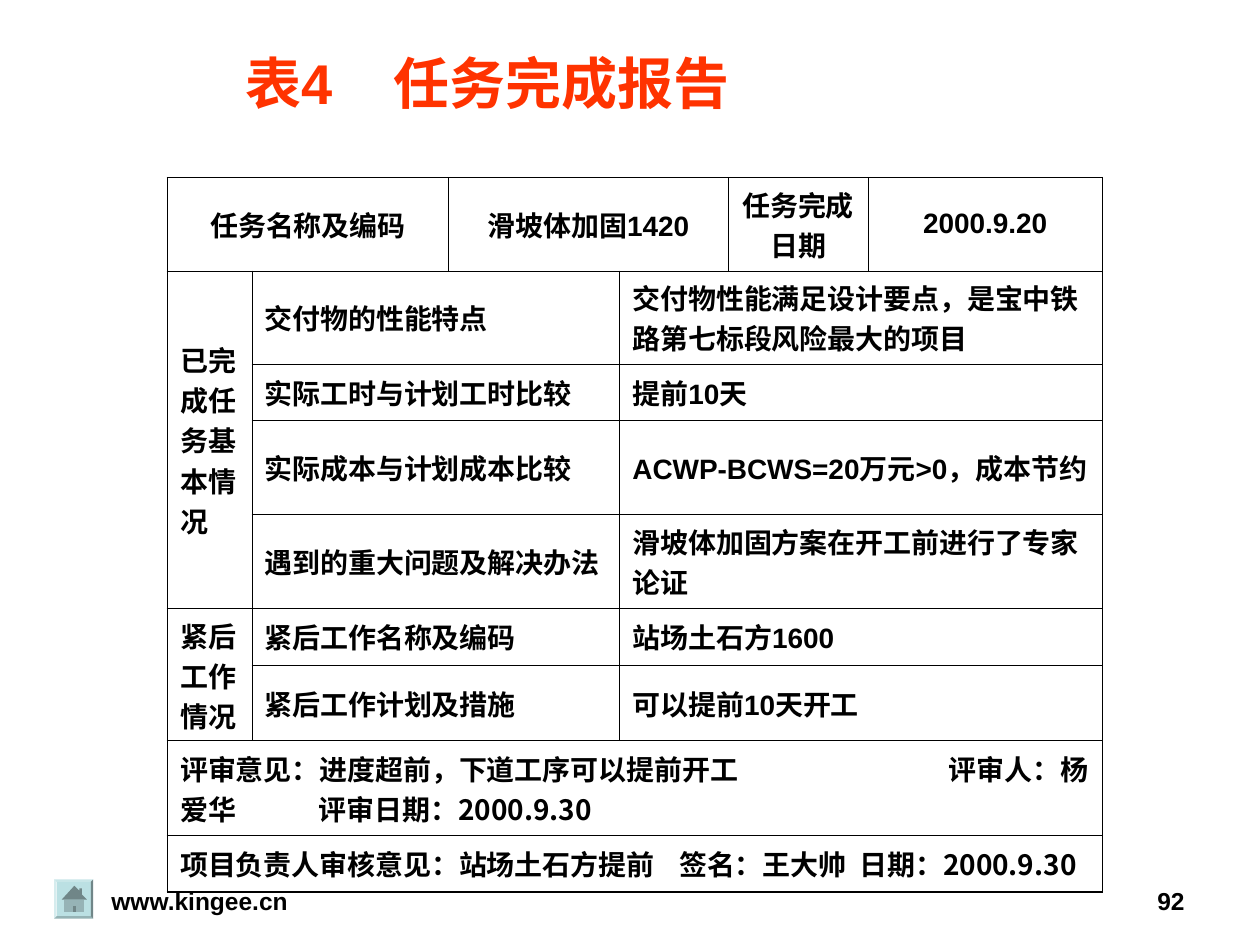
from lxml import etree
from pptx import Presentation, util as u
from pptx.dml.color import RGBColor
from pptx.enum import shapes, text
from pptx.oxml.ns import qn

Inches = u.Inches
COLORS = {"text": "000000", "title": "FF3300", "button": "BBE0E3",
          "roof": "708688", "wall": "96B3B6"}
LATIN, CHINESE = "Arial", "Noto Sans CJK SC"
COLUMNS = [0.67, 1.56, 1.36, 0.86, 1.11, 1.86]
ROWS = [0.74, 0.74, 0.45, 0.74, 0.75, 0.45, 0.6, 0.75, 0.45]
HEADER = [
    (0, 0, 1, 2, "任务名称及编码", CHINESE),
    (0, 2, 1, 2, "滑坡体加固1420", LATIN),
    (0, 4, 1, 1, "任务完成日期", CHINESE),
    (0, 5, 1, 1, "2000.9.20", LATIN),
]
GROUPS = [
    (1, 4, "已完成任务基本情况"),
    (5, 2, "紧后工作情况"),
]
DETAILS = [
    ("交付物的性能特点", "交付物性能满足设计要点，是宝中铁路第七标段风险最大的项目"),
    ("实际工时与计划工时比较", "提前10天"),
    ("实际成本与计划成本比较", "ACWP-BCWS=20万元>0，成本节约"),
    ("遇到的重大问题及解决办法", "滑坡体加固方案在开工前进行了专家论证"),
    ("紧后工作名称及编码", "站场土石方1600"),
    ("紧后工作计划及措施", "可以提前10天开工"),
]
REVIEWS = [
    ("评审意见：进度超前，下道工序可以提前开工\t评审人：杨爱华\t评审日期：2000.9.30", (1.1, 6.1)),
    ("项目负责人审核意见：站场土石方提前\t签名：王大帅\t日期：2000.9.30", (3.96, 5.39)),
]


def color(name):
    """Return the named colour."""
    return RGBColor.from_string(COLORS[name])


def write(frame, content, size, align, font=LATIN, ink="text", tabs=()):
    """Fill a text frame with one bold paragraph and return its run."""
    frame.text = content
    frame.word_wrap = True
    paragraph = frame.paragraphs[0]
    paragraph.alignment = align
    paragraph.space_before = u.Pt(0)
    if tabs:
        tab_list = etree.SubElement(paragraph._p.get_or_add_pPr(), qn("a:tabLst"))
        for position in tabs:
            etree.SubElement(tab_list, qn("a:tab"), pos=str(Inches(position)), algn="l")
    run = paragraph.runs[0]
    run.font.size, run.font.bold, run.font.name = u.Pt(size), True, font
    run.font.color.rgb = color(ink)
    etree.SubElement(run._r.get_or_add_rPr(), qn("a:ea"), typeface=CHINESE)
    return run


def add_title(slide, left, top, width, height):
    """Place the title with a small dark text shadow."""
    title = slide.shapes.title
    title.left, title.top, title.width, title.height = map(Inches, (left, top, width, height))
    frame = title.text_frame
    frame.vertical_anchor = text.MSO_ANCHOR.MIDDLE
    run = write(frame, "表4\t任务完成报告", 32, text.PP_ALIGN.LEFT, ink="title", tabs=[1.17])
    effects = etree.Element(qn("a:effectLst"))
    shadow = etree.SubElement(effects, qn("a:outerShdw"), dist="25400", dir="2700000")
    etree.SubElement(shadow, qn("a:srgbClr"), val=COLORS["text"])
    run._r.rPr.find(qn("a:solidFill")).addnext(effects)


def set_borders(cell, widths):
    """Draw left, right, top and bottom borders of the given point widths."""
    properties = cell._tc.get_or_add_tcPr()
    for index, (side, width) in enumerate(zip("LRTB", widths)):
        line = etree.Element(qn(f"a:ln{side}"), w=str(u.Pt(width)))
        fill = etree.SubElement(line, qn("a:solidFill"))
        etree.SubElement(fill, qn("a:srgbClr"), val=COLORS["text"])
        properties.insert(index, line)


def fill_cell(table, row, column, row_span, column_span, content, font, align, tabs=()):
    """Merge a block of cells and write its text."""
    cell = table.cell(row, column)
    if row_span * column_span > 1:
        cell.merge(table.cell(row + row_span - 1, column + column_span - 1))
    write(cell.text_frame, content, 16, align, font, tabs=tabs)


def add_report(slide, left, top):
    """Build the task completion table."""
    frame = slide.shapes.add_table(len(ROWS), len(COLUMNS), Inches(left), Inches(top),
                                   Inches(sum(COLUMNS)), Inches(sum(ROWS)))
    table = frame.table
    table.first_row = table.horz_banding = False
    for column, width in zip(table.columns, COLUMNS):
        column.width = Inches(width)
    for row, height in zip(table.rows, ROWS):
        row.height = Inches(height)
    for row in range(len(ROWS)):
        for column in range(len(COLUMNS)):
            cell = table.cell(row, column)
            cell.fill.background()
            cell.vertical_anchor = text.MSO_ANCHOR.MIDDLE
            cell.margin_left = cell.margin_right = Inches(0.1)
            cell.margin_top = cell.margin_bottom = Inches(0.05)
            outer = (column == 0, column == len(COLUMNS) - 1, row == 0, row == len(ROWS) - 1)
            set_borders(cell, [1.08 if edge else 0.45 for edge in outer])
    for entry in HEADER:
        fill_cell(table, *entry, text.PP_ALIGN.CENTER)
    left_align = text.PP_ALIGN.LEFT
    for row, span, label in GROUPS:
        fill_cell(table, row, 0, span, 1, label, CHINESE, left_align)
    for row, (label, value) in enumerate(DETAILS, 1):
        fill_cell(table, row, 1, 1, 2, label, CHINESE, left_align)
        fill_cell(table, row, 3, 1, 3, value, LATIN, left_align)
    for row, (content, tabs) in enumerate(REVIEWS, 1 + len(DETAILS)):
        fill_cell(table, row, 0, 1, len(COLUMNS), content, CHINESE, left_align, tabs)


def paint(shape, name):
    """Give a shape a flat fill without line or shadow."""
    shape.shadow.inherit = False
    shape.fill.solid()
    shape.fill.fore_color.rgb = color(name)
    shape.line.fill.background()


def add_home_button(slide, left, top, size):
    """Draw a bevelled button with a house on it."""
    button = slide.shapes.add_shape(shapes.MSO_SHAPE.BEVEL, Inches(left), Inches(top),
                                    Inches(size), Inches(size))
    button.adjustments[0] = 0.06
    paint(button, "button")
    roof = [(0.16, 0.05), (0.2, 0.09), (0.2, 0.07), (0.22, 0.07), (0.22, 0.12),
            (0.26, 0.16), (0.06, 0.16)]
    wall = [(0.08, 0.16), (0.24, 0.16), (0.24, 0.26), (0.08, 0.26)]
    door = [(0.15, 0.21), (0.17, 0.21), (0.17, 0.26), (0.15, 0.26)]
    for outline, name in ((roof, "roof"), (wall, "wall"), (door, "roof")):
        points = [(Inches(left + x), Inches(top + y)) for x, y in outline]
        builder = slide.shapes.build_freeform(*points[0])
        builder.add_line_segments(points[1:], close=True)
        paint(builder.convert_to_shape(), name)


def add_footer_text(slide, left, top, width, height, content, align):
    """Add one footer text box."""
    box = slide.shapes.add_textbox(*map(Inches, (left, top, width, height)))
    write(box.text_frame, content, 14, align)


def main():
    """Build and save the slide."""
    presentation = Presentation()
    presentation.slide_width, presentation.slide_height = Inches(10), Inches(7.5)
    slide = presentation.slides.add_slide(presentation.slide_layouts[5])
    add_home_button(slide, 0.43, 6.98, 0.31)
    add_footer_text(slide, 0, 6.98, 3.17, 0.52, "www.kingee.cn", text.PP_ALIGN.CENTER)
    add_footer_text(slide, 7.17, 6.98, 2.33, 0.52, "92", text.PP_ALIGN.RIGHT)
    add_title(slide, 1.85, 0.36, 4.58, 0.58)
    add_report(slide, 1.33, 1.41)
    presentation.save("out.pptx")


if __name__ == "__main__":
    main()
